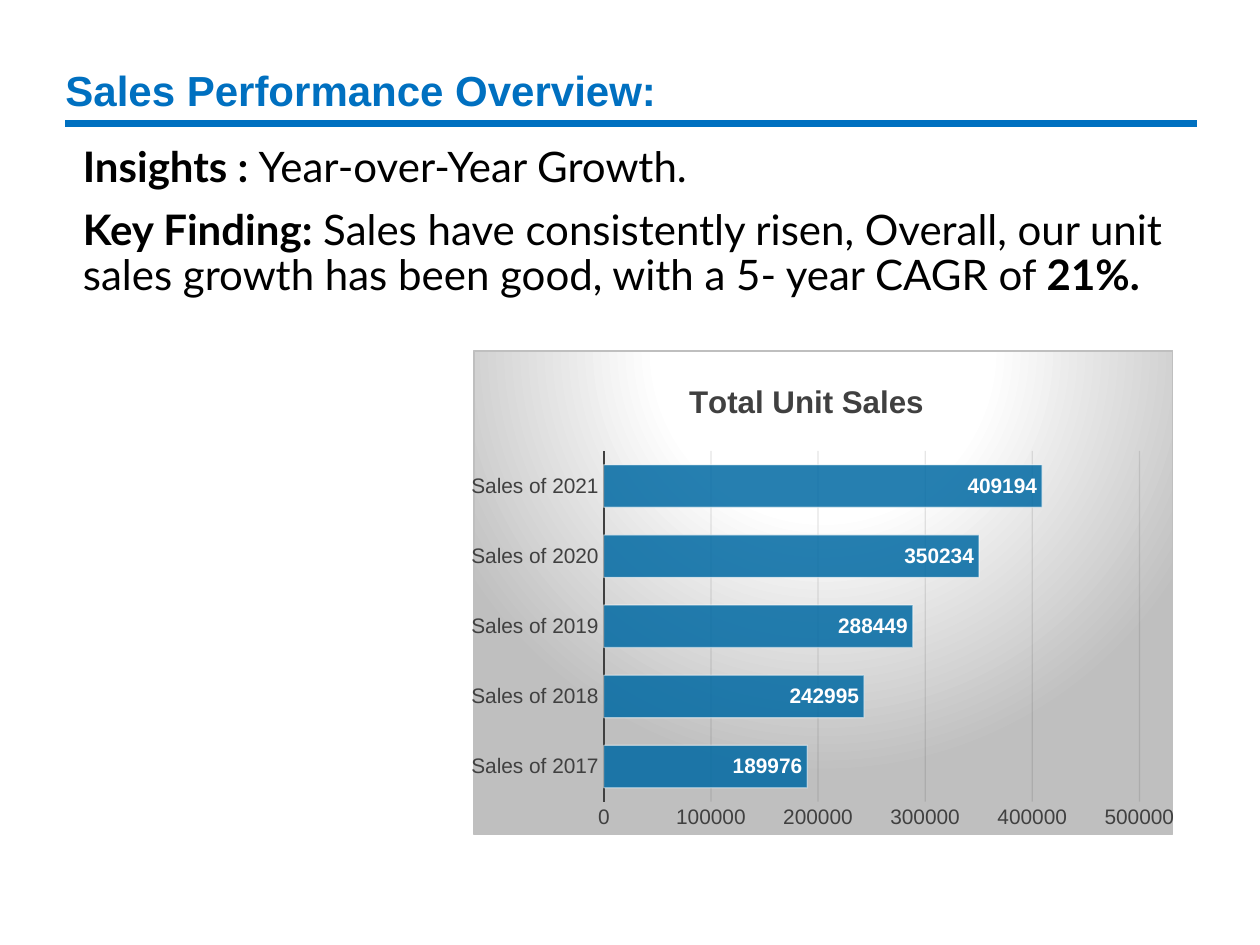
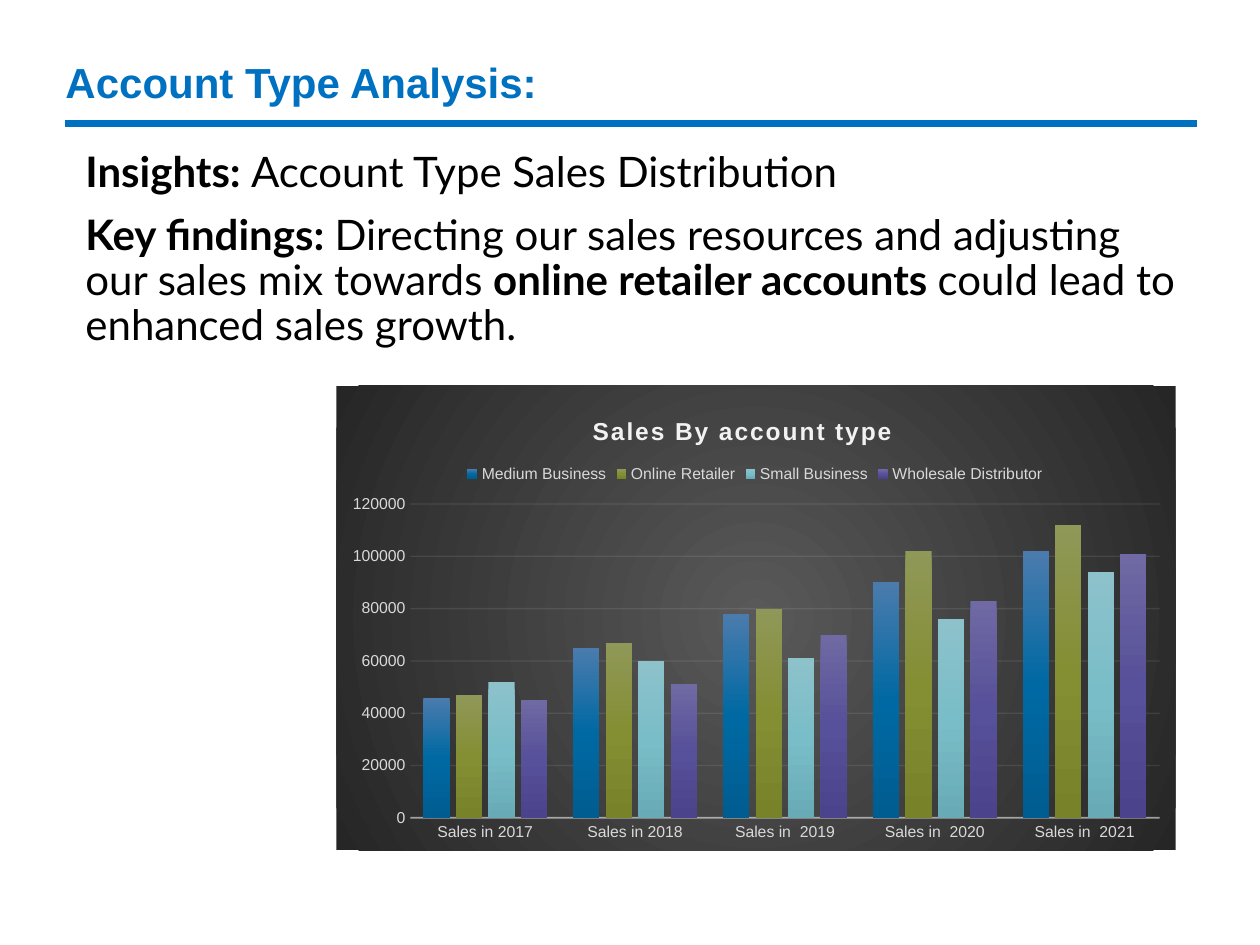
"""Build two sales review slides, each with a headline, findings and a chart."""
from dataclasses import dataclass

from lxml import etree
from pptx import Presentation
from pptx.chart.data import CategoryChartData
from pptx.dml.color import RGBColor
from pptx.enum.chart import XL_CHART_TYPE, XL_LABEL_POSITION, XL_LEGEND_POSITION, XL_TICK_MARK
from pptx.enum.shapes import MSO_CONNECTOR
from pptx.enum.text import MSO_ANCHOR
from pptx.oxml import parse_xml
from pptx.oxml.ns import nsdecls, qn
from pptx.util import Inches, Pt

BAR = XL_CHART_TYPE.BAR_CLUSTERED
COLUMN = XL_CHART_TYPE.COLUMN_CLUSTERED
INSIDE_END = XL_LABEL_POSITION.INSIDE_END
LEGEND_TOP = XL_LEGEND_POSITION.TOP
NO_TICK = XL_TICK_MARK.NONE
STRAIGHT = MSO_CONNECTOR.STRAIGHT
MIDDLE = MSO_ANCHOR.MIDDLE

BLUE, BLACK, WHITE = "0070C0", "000000", "FFFFFF"
HEAD_FONT, BODY_FONT = "Arial", "Lato"
Box = tuple[float, float, float, float]
Stops = list[tuple[int, str]]
Paragraph = list[tuple[str, bool]]


@dataclass
class Stroke:
    """A line's colour, width in points and opacity in percent."""
    color: str
    width: float
    opacity: int = 100


@dataclass
class Series:
    """A named row of values with a fill of one or more gradient stops."""
    name: str
    values: list[int]
    stops: Stops


@dataclass
class ChartStyle:
    """The look of one chart."""
    kind: int
    title_size: int
    title_color: str
    title_spacing: int
    title_at: tuple[float, float]
    plot_at: Box
    text_size: int
    text_color: str
    axis: Stroke
    grid: Stroke
    maximum: int
    step: int
    gap: int
    overlap: int
    back: Stops
    focus: Box
    border: Stroke | None = None
    outline: Stroke | None = None
    opacity: int = 100
    labels: bool = False
    legend_at: tuple[float, float] | None = None


@dataclass
class Page:
    """The content of one slide."""
    title: str
    title_box: Box
    body_box: Box
    body: list[Paragraph]
    chart_title: str
    chart_box: Box
    categories: list[str]
    series: list[Series]
    style: ChartStyle


def rgb(color: str) -> RGBColor:
    """Turn a hex string into a colour."""
    return RGBColor.from_string(color)


def inches(box: Box) -> list[int]:
    """Turn left, top, width and height into lengths."""
    return [Inches(length) for length in box]


def set_font(font, size: float, color: str, bold: bool = False, name: str = HEAD_FONT) -> None:
    """Set size, colour, weight and typeface."""
    font.size, font.bold, font.name = Pt(size), bold, name
    font.color.rgb = rgb(color)


def fade(element, opacity: int) -> None:
    """Make the colours inside an element partly transparent."""
    if opacity < 100:
        for color in element.iter(qn("a:srgbClr")):
            etree.SubElement(color, qn("a:alpha")).set("val", str(opacity * 1000))


def set_line(line, stroke: Stroke) -> None:
    """Draw a line with the given stroke."""
    line.color.rgb = rgb(stroke.color)
    line.width = Pt(stroke.width)
    fade(line._get_or_add_ln(), stroke.opacity)


def gradient_xml(stops: Stops, direction: str) -> str:
    """Write a gradient fill."""
    marks = "".join(f'<a:gs pos="{place * 1000}"><a:srgbClr val="{color}"/></a:gs>'
                    for place, color in stops)
    return f'<a:gradFill {nsdecls("a")} rotWithShape="1"><a:gsLst>{marks}</a:gsLst>{direction}</a:gradFill>'


def place_part(part, **fractions: float) -> None:
    """Fix a chart part at fractions of the chart's size."""
    for old in part.findall(qn("c:layout")):
        part.remove(old)
    inner = '<c:layoutTarget val="inner"/>' if "w" in fractions else ""
    modes = '<c:xMode val="edge"/><c:yMode val="edge"/>'
    sizes = "".join(f'<c:{key} val="{value}"/>' for key, value in fractions.items())
    layout = parse_xml(f'<c:layout {nsdecls("c")}><c:manualLayout>{inner}{modes}{sizes}'
                       '</c:manualLayout></c:layout>')
    overlay = part.find(qn("c:overlay"))
    if overlay is None:
        part.insert(0, layout)
    else:
        overlay.addprevious(layout)


def paint_background(chart, style: ChartStyle) -> None:
    """Fill the chart area with a round gradient and draw its border."""
    sides = " ".join(f'{side}="{value * 1000}"' for side, value in zip("ltrb", style.focus))
    fill = gradient_xml(style.back, f'<a:path path="circle"><a:fillToRect {sides}/></a:path>')
    line = "<a:ln><a:noFill/></a:ln>"
    if style.border:
        line = (f'<a:ln w="{Pt(style.border.width)}"><a:solidFill>'
                f'<a:srgbClr val="{style.border.color}"/></a:solidFill></a:ln>')
    area = parse_xml(f'<c:spPr {nsdecls("c", "a")}>{fill}{line}</c:spPr>')
    chart._chartSpace.find(qn("c:chart")).addnext(area)


def style_series(plot_series, series: Series, style: ChartStyle) -> None:
    """Fill and outline one series."""
    plot_series.invert_if_negative = False
    if len(series.stops) == 1:
        fill = plot_series.format.fill
        fill.solid()
        fill.fore_color.rgb = rgb(series.stops[0][1])
        fade(plot_series._element.spPr, style.opacity)
    else:
        shade = gradient_xml(series.stops, '<a:lin ang="5400000" scaled="0"/>')
        plot_series._element.get_or_add_spPr().insert(0, parse_xml(shade))
    if style.outline:
        set_line(plot_series.format.line, style.outline)


def style_axes(chart, style: ChartStyle) -> None:
    """Style both axes and the gridlines."""
    for axis in (chart.category_axis, chart.value_axis):
        axis.major_tick_mark = axis.minor_tick_mark = NO_TICK
        set_font(axis.tick_labels.font, style.text_size, style.text_color)
    chart.category_axis.has_major_gridlines = False
    set_line(chart.category_axis.format.line, style.axis)
    values = chart.value_axis
    values.minimum_scale, values.maximum_scale, values.major_unit = 0, style.maximum, style.step
    values.format.line.fill.background()
    values.has_major_gridlines = True
    set_line(values.major_gridlines.format.line, style.grid)


def add_sales_chart(slide, page: Page) -> None:
    """Add the page's chart."""
    style = page.style
    data = CategoryChartData()
    data.categories = page.categories
    for series in page.series:
        data.add_series(series.name, series.values)
    chart = slide.shapes.add_chart(style.kind, *inches(page.chart_box), data).chart
    set_font(chart.font, 10, BLACK)
    paint_background(chart, style)

    chart.has_title = True
    span = chart.chart_title.text_frame.paragraphs[0].add_run()
    span.text = page.chart_title
    set_font(span.font, style.title_size, style.title_color, True)
    span.font._element.set("spc", str(style.title_spacing))
    place_part(chart.chart_title._element, x=style.title_at[0], y=style.title_at[1])
    place_part(chart._chartSpace.chart.plotArea, **dict(zip("xywh", style.plot_at)))

    style_axes(chart, style)
    plot = chart.plots[0]
    plot.vary_by_categories = False
    plot.gap_width, plot.overlap = style.gap, style.overlap
    for plot_series, series in zip(plot.series, page.series):
        style_series(plot_series, series, style)
    if style.labels:
        plot.has_data_labels = True
        plot.data_labels.show_value = True
        plot.data_labels.position = INSIDE_END
        set_font(plot.data_labels.font, style.text_size, WHITE, True)
    chart.has_legend = style.legend_at is not None
    if style.legend_at:
        chart.legend.position = LEGEND_TOP
        chart.legend.include_in_layout = False
        set_font(chart.legend.font, style.text_size, style.text_color)
        place_part(chart.legend._element, x=style.legend_at[0], y=style.legend_at[1])


def add_text(slide, box: Box, paragraphs: list[Paragraph], color: str, font: str,
             side: float, indent: float = 0, before: float = 0):
    """Add a wrapped text box and return its frame."""
    frame = slide.shapes.add_textbox(*inches(box)).text_frame
    frame.word_wrap = True
    frame.margin_left = frame.margin_right = Inches(side)
    for index, spans in enumerate(paragraphs):
        para = frame.add_paragraph() if index else frame.paragraphs[0]
        para.line_spacing, para.space_before = 0.9, Pt(before)
        para._p.get_or_add_pPr().set("marL", str(Inches(indent)))
        for text, bold in spans:
            span = para.add_run()
            span.text = text
            set_font(span.font, 24, color, bold, font)
    return frame


def add_page(deck, page: Page) -> None:
    """Add one slide with rule, headline, findings and chart."""
    slide = deck.slides.add_slide(deck.slide_layouts[6])
    rule = slide.shapes.add_connector(STRAIGHT, *inches((0.52, 0.98, 9.5, 0.98)))
    set_line(rule.line, Stroke(BLUE, 4.5))
    etree.SubElement(rule._element.spPr, qn("a:effectLst"))
    title = add_text(slide, page.title_box, [[(page.title, True)]], BLUE, HEAD_FONT, 0)
    title.vertical_anchor = MIDDLE
    add_text(slide, page.body_box, page.body, BLACK, BODY_FONT, 0.1, 0.06, 10)
    add_sales_chart(slide, page)


UNIT_STYLE = ChartStyle(
    kind=BAR, title_size=18, title_color="404040", title_spacing=0, title_at=(0.3, 0.05),
    plot_at=(0.186, 0.207, 0.767, 0.725), text_size=12, text_color="404040",
    axis=Stroke("404040", 1.5), grid=Stroke("0D0D0D", 0.75, 10), maximum=500000, step=100000,
    gap=65, overlap=0, back=[(0, WHITE), (39, WHITE), (100, "BFBFBF")], focus=(50, -80, 50, 180),
    border=Stroke("BFBFBF", 0.75), outline=Stroke(WHITE, 0.75, 50), opacity=85, labels=True)

ACCOUNT_STYLE = ChartStyle(
    kind=COLUMN, title_size=14, title_color="F2F2F2", title_spacing=100, title_at=(0.3, 0.055),
    plot_at=(0.088, 0.255, 0.893, 0.675), text_size=9, text_color="D9D9D9",
    axis=Stroke("F2F2F2", 1, 54), grid=Stroke("F2F2F2", 0.75, 10), maximum=120000, step=20000,
    gap=100, overlap=-24, back=[(0, "595959"), (100, "262626")], focus=(50, 50, 50, 50),
    legend_at=(0.15, 0.16))


def shades(*colors: str) -> Stops:
    """Spread three colours evenly over a gradient."""
    return list(zip((0, 50, 100), colors))


PAGES = [
    Page("Sales Performance Overview:", (0.52, 0.59, 9, 0.3), (0.5, 1.11, 9, 5.65),
         [[("Insights : ", True), ("Year-over-Year Growth.", False)],
          [("Key Finding:", True),
           (" Sales have consistently risen, Overall, our unit sales growth has been good, "
            "with a 5- year CAGR of ", False), ("21%.", True)]],
         "Total Unit Sales", (3.74, 2.78, 5.58, 3.85),
         [f"Sales of {year}" for year in range(2017, 2022)],
         [Series("Series 1", [189976, 242995, 288449, 350234, 409194], [(0, "0069A3")])],
         UNIT_STYLE),
    Page("Account Type Analysis:", (0.52, 0.46, 9, 0.43), (0.52, 1.15, 9, 5.6),
         [[("Insights: ", True), ("Account Type Sales Distribution", False)],
          [("Key findings: ", True),
           ("Directing our sales resources and adjusting our sales mix towards ", False),
           ("online retailer accounts ", True), ("could lead to enhanced sales growth.", False)]],
         "Sales By account type", (2.67, 3.06, 6.66, 3.69),
         ["Sales in 2017", "Sales in 2018", "Sales in  2019", "Sales in  2020", "Sales in  2021"],
         [Series("Medium Business", [46000, 65000, 78000, 90000, 102000],
                 shades("4B7BAD", "0069A3", "005D91")),
          Series("Online Retailer", [47000, 67000, 80000, 102000, 112000],
                 shades("909858", "848E33", "788229")),
          Series("Small Business", [52000, 60000, 61000, 76000, 94000],
                 shades("8DC2CB", "79BDC8", "68ABB6")),
          Series("Wholesale Distributor", [45000, 51000, 70000, 83000, 101000],
                 shades("6F6AA3", "57509A", "4B448C"))],
         ACCOUNT_STYLE),
]


def main() -> None:
    """Build and save the deck."""
    deck = Presentation()
    deck.slide_width, deck.slide_height = Inches(10), Inches(7.5)
    for page in PAGES:
        add_page(deck, page)
    deck.save("out.pptx")


if __name__ == "__main__":
    main()
